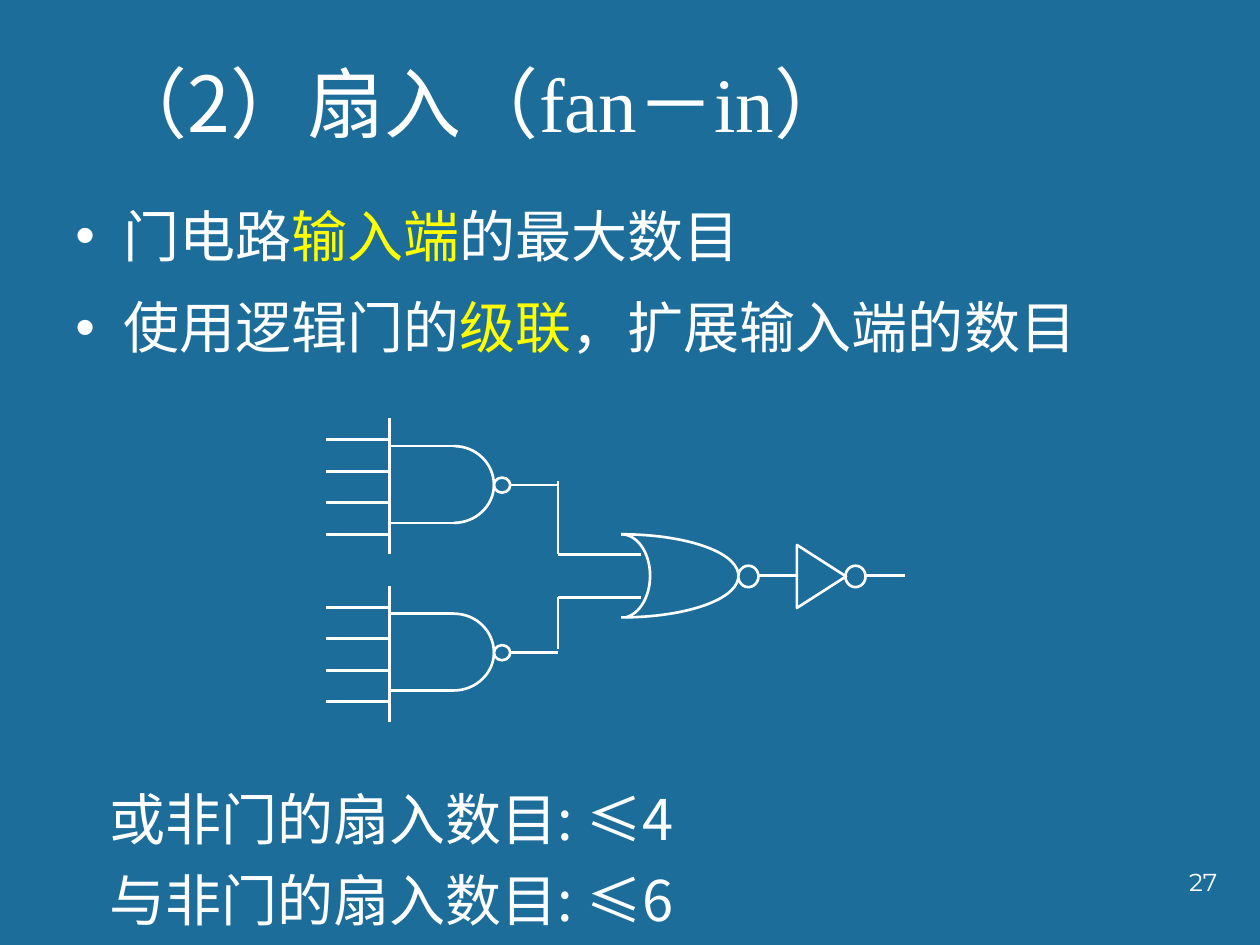
"""Build the slide on fan-in, with cascaded gates that extend the number of inputs."""
from lxml import etree
from pptx import Presentation
from pptx.dml.color import RGBColor
from pptx.enum.shapes import MSO_CONNECTOR, MSO_SHAPE
from pptx.enum.text import MSO_ANCHOR, MSO_AUTO_SIZE, PP_ALIGN
from pptx.oxml.ns import qn
from pptx.util import Inches, Pt

STRAIGHT = MSO_CONNECTOR.STRAIGHT
OVAL, TRIANGLE = MSO_SHAPE.OVAL, MSO_SHAPE.ISOSCELES_TRIANGLE
LEFT, RIGHT = PP_ALIGN.LEFT, PP_ALIGN.RIGHT
BOTTOM, FIT_SHAPE = MSO_ANCHOR.BOTTOM, MSO_AUTO_SIZE.SHAPE_TO_FIT_TEXT
COLORS = {"background": "1C6D9A", "text": "FFFFFF", "accent": "FFFF00"}
CJK, SERIF, NUMBER_FONT = "Noto Sans CJK SC", "Times New Roman", "Montserrat"

TITLE = [("（2）扇入（", CJK), ("fan－in", SERIF), ("）", CJK)]
BULLETS = [
    [("门电路", "text"), ("输入端", "accent"), ("的最大数目", "text")],
    [("使用逻辑门的", "text"), ("级联", "accent"), ("，扩展输入端的数目", "text")],
]
LIMITS = ["或非门的扇入数目: ≤4", "与非门的扇入数目: ≤6"]
PAGE_NUMBER = "27"

INPUT_LEFT, BAR_X, BODY_X, NAND_TIP, JOINT_X = 2.59, 3.09, 3.6, 3.92, 4.43
NAND_TOPS = [3.32, 4.65]
INPUT_OFFSETS = [0.17 + 0.25 * index for index in range(4)]
CENTER_Y = 4.57
NOR_TIP, INVERTER_TIP = 5.86, 6.71
WIRES = [
    ((JOINT_X, 3.82), (JOINT_X, 4.4)), ((5.09, 4.4), (JOINT_X, 4.4)),
    ((5.09, 4.74), (JOINT_X, 4.74)), ((JOINT_X, 4.74), (JOINT_X, 5.15)),
    ((6.01, CENTER_Y), (6.32, CENTER_Y)), ((6.87, CENTER_Y), (7.18, CENTER_Y)),
]
NOR_CURVES = [
    [(4.93, 4.24), (5.06, 4.24), (5.16, 4.39), (5.16, 4.57),
     (5.16, 4.73), (5.08, 4.87), (4.97, 4.9)],
    [(4.93, 4.24), (5.42, 4.24), (5.83, 4.37), (NOR_TIP, 4.55)],
    [(4.93, 4.9), (5.42, 4.9), (5.83, 4.77), (NOR_TIP, 4.59)],
]


def color(name):
    return RGBColor.from_string(COLORS[name])


def set_indent(paragraph, bullet=None):
    properties = paragraph._p.get_or_add_pPr()
    properties.set("marL", str(Inches(0.38)))
    properties.set("indent", str(-Inches(0.38)))
    if bullet:
        etree.SubElement(properties, qn("a:buFont"), typeface="Arial")
        etree.SubElement(properties, qn("a:buChar"), char=bullet)


def set_font(paragraph, size, name=CJK):
    font = paragraph.font
    font.size, font.name = Pt(size), name
    font.color.rgb = color("text")
    defaults = paragraph._p.pPr.find(qn("a:defRPr"))
    etree.SubElement(defaults, qn("a:ea"), typeface=name)


def add_text_box(slide, left, top, width, height):
    box = slide.shapes.add_textbox(*map(Inches, (left, top, width, height)))
    box.text_frame.word_wrap = True
    return box.text_frame


def next_paragraph(frame, index):
    return frame.add_paragraph() if index else frame.paragraphs[0]


def outline(shape):
    shape.line.color.rgb = color("text")
    shape.line.width = Pt(1.5)


def add_wire(group, start, end):
    wire = group.shapes.add_connector(STRAIGHT, *map(Inches, (*start, *end)))
    outline(wire)
    etree.SubElement(wire._element.spPr, qn("a:effectLst"))


def style_outline_shape(shape):
    shape.shadow.inherit = False
    shape.fill.background()
    outline(shape)
    return shape


def add_outline_shape(group, kind, left, top, width, height):
    return style_outline_shape(
        group.shapes.add_shape(kind, *map(Inches, (left, top, width, height))))


def add_curve(group, controls):
    points = [(Inches(x), Inches(y)) for x, y in controls]
    builder = group.shapes.build_freeform(*points[0])
    builder.add_line_segments(points[1:], close=False)
    curve = style_outline_shape(builder.convert_to_shape())
    segments = list(curve._element.iter(qn("a:lnTo")))
    outline_path = segments[0].getparent()
    for first in range(0, len(segments), 3):
        bezier = etree.SubElement(outline_path, qn("a:cubicBezTo"))
        for segment in segments[first:first + 3]:
            bezier.append(segment[0])
            outline_path.remove(segment)


def add_nand(group, top):
    upper, middle, lower = top + 0.22, top + 0.53, top + 0.83
    add_wire(group, (BAR_X, top), (BAR_X, top + 1.08))
    add_curve(group, [(BODY_X, upper), (3.78, upper), (NAND_TIP, top + 0.36),
                      (NAND_TIP, middle), (NAND_TIP, top + 0.69), (3.78, lower),
                      (BODY_X, lower)])
    for y in (upper, lower):
        add_wire(group, (BODY_X, y), (BAR_X, y))
    add_outline_shape(group, OVAL, NAND_TIP, middle - 0.06, 0.13, 0.12)
    add_wire(group, (NAND_TIP + 0.13, middle), (JOINT_X, middle))
    for offset in INPUT_OFFSETS:
        add_wire(group, (BAR_X, top + offset), (INPUT_LEFT, top + offset))


def add_circuit(slide):
    group = slide.shapes.add_group_shape()
    for top in NAND_TOPS:
        add_nand(group, top)
    for curve in NOR_CURVES:
        add_curve(group, curve)
    for left in (NOR_TIP, INVERTER_TIP):
        add_outline_shape(group, OVAL, left, CENTER_Y - 0.08, 0.16, 0.17)
    inverter = add_outline_shape(group, TRIANGLE, 6.27, 4.38, 0.5, 0.39)
    inverter.rotation = 90
    for start, end in WIRES:
        add_wire(group, start, end)


def add_title(slide):
    title = slide.shapes.title
    title.left, title.top, title.width, title.height = map(Inches, (0.78, 0.39, 8.5, 0.83))
    frame = title.text_frame
    frame.vertical_anchor, frame.auto_size = BOTTOM, FIT_SHAPE
    paragraph = frame.paragraphs[0]
    paragraph.alignment = LEFT
    set_indent(paragraph)
    set_font(paragraph, 44)
    for text, font_name in TITLE:
        run = paragraph.add_run()
        run.text, run.font.name = text, font_name


def add_texts(slide):
    frame = add_text_box(slide, 0.5, 1.44, 9.25, 5.33)
    for index, parts in enumerate(BULLETS):
        paragraph = next_paragraph(frame, index)
        paragraph.line_spacing = 1.2
        if index:
            paragraph.space_before = Pt(6.4)
        set_indent(paragraph, "•")
        set_font(paragraph, 32)
        for text, color_name in parts:
            run = paragraph.add_run()
            run.text = text
            run.font.color.rgb = color(color_name)
    frame = add_text_box(slide, 0.77, 6.07, 8.3, 1.39)
    frame.auto_size = FIT_SHAPE
    for index, text in enumerate(LIMITS):
        paragraph = next_paragraph(frame, index)
        paragraph.text, paragraph.line_spacing = text, 1.2
        set_font(paragraph, 32)
    paragraph = add_text_box(slide, 7.68, 6.83, 2.08, 0.5).paragraphs[0]
    paragraph.text, paragraph.alignment = PAGE_NUMBER, RIGHT
    set_font(paragraph, 14, NUMBER_FONT)


def main():
    presentation = Presentation()
    presentation.slide_width, presentation.slide_height = Inches(10), Inches(7.5)
    slide = presentation.slides.add_slide(presentation.slide_layouts[5])
    slide.background.fill.solid()
    slide.background.fill.fore_color.rgb = color("background")
    add_title(slide)
    add_texts(slide)
    add_circuit(slide)
    presentation.save("out.pptx")


if __name__ == "__main__":
    main()
